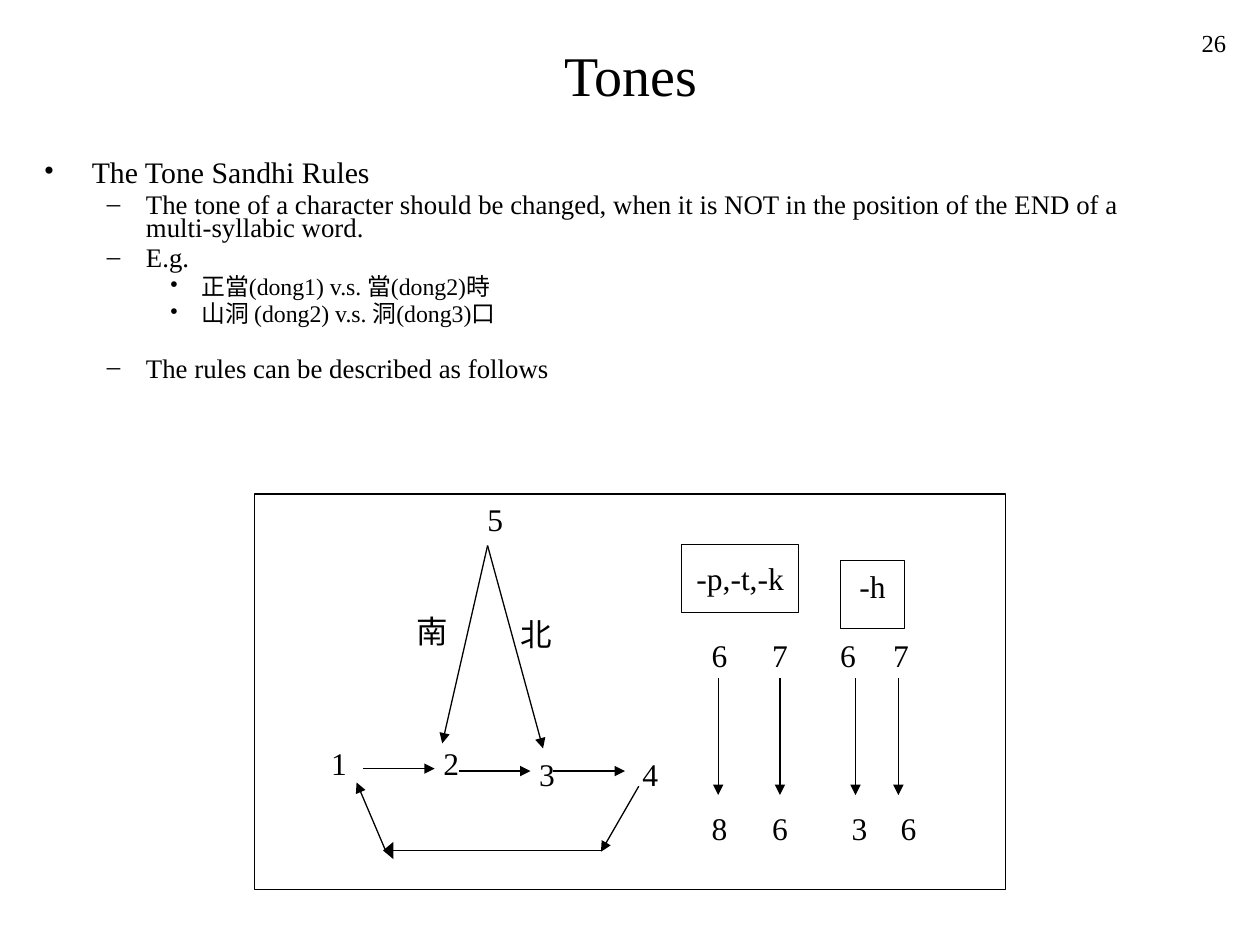
from lxml import etree
from pptx import Presentation
from pptx.dml.color import RGBColor
from pptx.enum.shapes import MSO_CONNECTOR, MSO_SHAPE
from pptx.enum.text import MSO_ANCHOR, PP_ALIGN
from pptx.oxml.ns import qn
from pptx.util import Inches, Pt

STRAIGHT = MSO_CONNECTOR.STRAIGHT
RECT = MSO_SHAPE.RECTANGLE
TOP, MIDDLE = MSO_ANCHOR.TOP, MSO_ANCHOR.MIDDLE
LEFT, CENTER, RIGHT = PP_ALIGN.LEFT, PP_ALIGN.CENTER, PP_ALIGN.RIGHT

COLORS = {"ink": "000000", "paper": "FFFFFF"}
FONT = "Times New Roman"
COLS, ROWS = 100, 75
CELL = Inches(0.1)
HAIR = Pt(0.75)

LEVELS = [
    {"size": 17, "before": 5, "bullet": "•", "left": 0.38, "hang": 0.38},
    {"size": 15.3, "before": 4.5, "bullet": "–", "left": 0.81, "hang": 0.31},
    {"size": 13.6, "before": 4, "bullet": "•", "left": 1.25, "hang": 0.25},
]
SECTION_GAP = 15


def color(name):
    return RGBColor.from_string(COLORS[name])


def grid(*cells):
    return [round(c * CELL) for c in cells]


def add_run(p, text, size):
    r = p.add_run()
    r.text = text
    r.font.name = FONT
    r.font.size = Pt(size)
    r.font.color.rgb = color("ink")


def add_text(s, box, text, size=18, align=LEFT, anchor=TOP):
    tf = s.shapes.add_textbox(*grid(*box)).text_frame
    tf.word_wrap = True
    tf.vertical_anchor = anchor
    p = tf.paragraphs[0]
    p.alignment = align
    add_run(p, text, size)


def add_frame(s, box, text=None, anchor=MIDDLE):
    sp = s.shapes.add_shape(RECT, *grid(*box))
    sp.shadow.inherit = False
    sp.fill.solid()
    sp.fill.fore_color.rgb = color("paper")
    sp.line.color.rgb = color("ink")
    sp.line.width = HAIR
    if text:
        tf = sp.text_frame
        tf.word_wrap = False
        tf.vertical_anchor = anchor
        p = tf.paragraphs[0]
        p.alignment = CENTER
        add_run(p, text, 18)


def add_arrow(s, x1, y1, x2, y2, head_width="med"):
    line = s.shapes.add_connector(STRAIGHT, *grid(x1, y1, x2, y2))
    line.line.color.rgb = color("ink")
    line.line.width = HAIR
    etree.SubElement(line.line._get_or_add_ln(), qn("a:tailEnd"),
                     type="triangle", w=head_width, len="med")
    etree.SubElement(line._element.spPr, qn("a:effectLst"))


def add_rules(s, box, rules):
    tf = s.shapes.add_textbox(*grid(*box)).text_frame
    tf.word_wrap = True
    for i, (level, text, gap) in enumerate(rules):
        style = LEVELS[level]
        p = tf.paragraphs[0] if i == 0 else tf.add_paragraph()
        p.level = level
        p.line_spacing = 0.7
        p.space_before = Pt(style["before"] + gap if i else 0)
        pPr = p._p.get_or_add_pPr()
        pPr.set("marL", str(Inches(style["left"])))
        pPr.set("indent", str(-Inches(style["hang"])))
        etree.SubElement(pPr, qn("a:buFont"), typeface=FONT)
        etree.SubElement(pPr, qn("a:buChar"), char=style["bullet"])
        add_run(p, text, style["size"])


def add_tone_cycle(s, x, y):
    tones = [("1", 5.1, 19.4), ("2", 14, 19.4), ("3", 21.6, 20.2),
             ("4", 29.8, 20.2), ("5", 17.5, 0)]
    for tone, dx, dy in tones:
        add_text(s, (x + dx, y + dy, 4.8, 6.7), tone)
    for dialect, dx, dy in [("南", 11.9, 8.9), ("北", 20.1, 9.1)]:
        add_text(s, (x + dx, y + dy, 6.3, 7.4), dialect)
    changes = [
        (8.6, 21.8, 14.3, 21.8),
        (16.2, 22, 21.9, 22),
        (23.7, 22, 29.4, 22),
        (30.5, 23.2, 27.5, 28.4),
        (10.4, 28.3, 8.1, 22.9),
        (18.5, 4.1, 14.9, 19.8),
        (18.5, 4.1, 22.9, 20.2),
    ]
    for x1, y1, x2, y2 in changes:
        add_arrow(s, x + x1, y + y1, x + x2, y + y2)
    add_arrow(s, x + 27.5, y + 28.3, x + 10.2, y + 28.3, "lg")


def add_checked_tones(s, x, y):
    add_frame(s, (x, y + 4, 9.3, 5.4), "-p,-t,-k")
    add_frame(s, (x + 12.6, y + 5.3, 5.1, 5.4), "-h", TOP)
    columns = [("6", 1.4, "8", 1.4, 2.9), ("7", 6.2, "6", 6.2, 7.8),
               ("6", 11.6, "3", 12.5, 13.8), ("7", 15.8, "6", 16.4, 17.2)]
    for before, before_x, after, after_x, arrow_x in columns:
        add_text(s, (x + before_x, y + 10.8, 4.9, 7.6), before)
        add_text(s, (x + after_x, y + 24.5, 4.9, 7.6), after)
        add_arrow(s, x + arrow_x, y + 14.6, x + arrow_x, y + 23.9)


def add_diagram(s, box):
    x, y = box[:2]
    add_frame(s, box)
    add_tone_cycle(s, x, y)
    add_checked_tones(s, x + 33.9, y)


def main():
    prs = Presentation()
    prs.slide_width, prs.slide_height = grid(COLS, ROWS)
    s = prs.slides.add_slide(prs.slide_layouts[6])
    add_text(s, (1.7, 1.7, 96.7, 8.3), "Tones", 32, CENTER, MIDDLE)
    add_rules(s, (2.5, 12.5, 90.8, 19.2), [
        (0, "The Tone Sandhi Rules", 0),
        (1, "The tone of a character should be changed, when it is NOT in "
            "the position of the END of a multi-syllabic word.", 0),
        (1, "E.g.", 0),
        (2, "正當(dong1) v.s. 當(dong2)時", 0),
        (2, "山洞 (dong2) v.s. 洞(dong3)口", 0),
        (1, "The rules can be described as follows", SECTION_GAP),
    ])
    add_diagram(s, (20.2, 39.2, 59.6, 31.4))
    add_text(s, (77.5, 1.7, 20.8, 5), "26", 14, RIGHT)
    prs.save("out.pptx")


if __name__ == "__main__":
    main()
